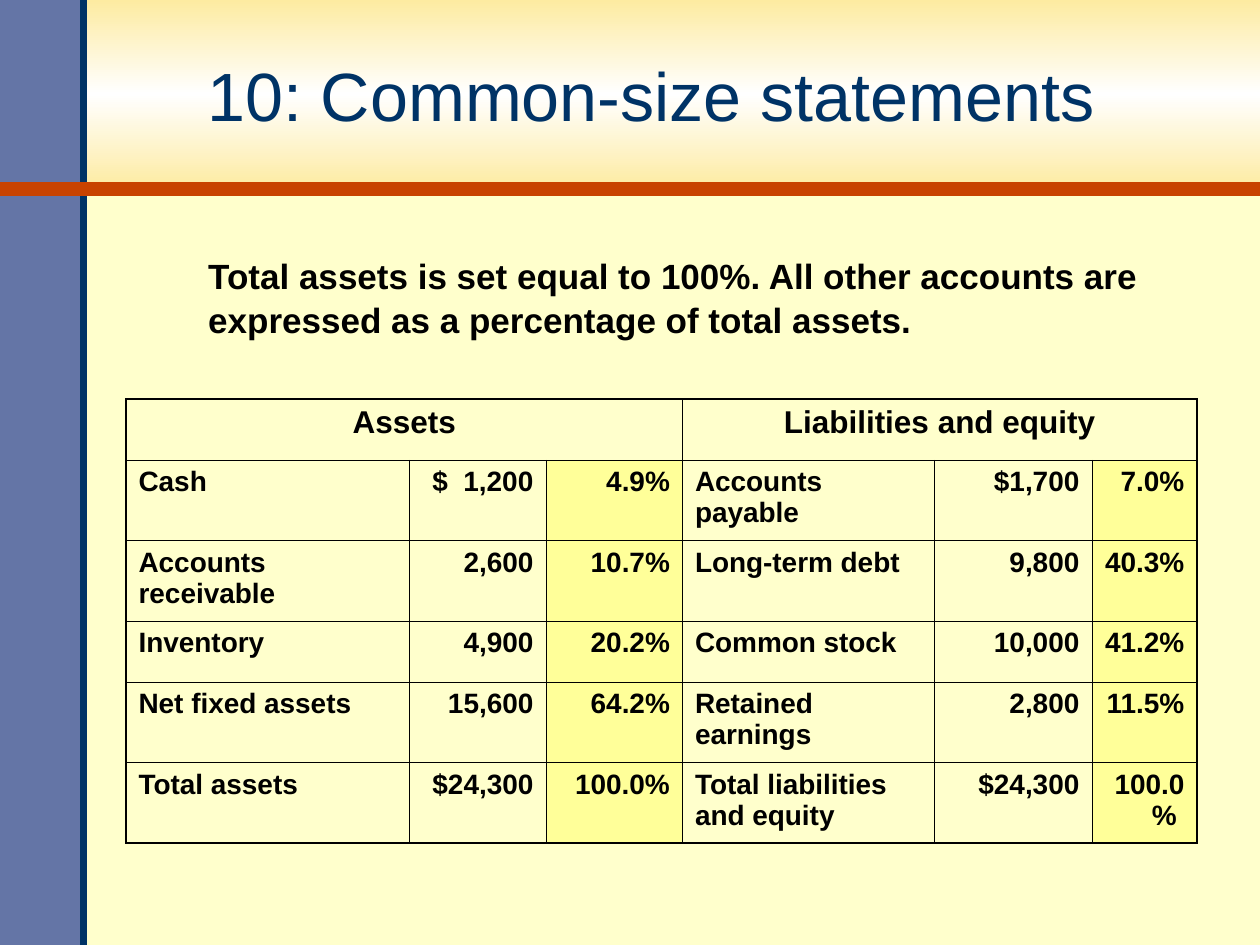
from copy import deepcopy

from lxml.etree import SubElement
from pptx import Presentation
from pptx.dml.color import RGBColor
from pptx.enum.shapes import MSO_CONNECTOR, MSO_SHAPE
from pptx.enum.text import MSO_ANCHOR, PP_ALIGN
from pptx.oxml.ns import qn
from pptx.util import Pt

TITLE = "10: Common-size statements"
STATEMENT = ("Total assets is set equal to 100%. All other accounts are "
             "expressed as a percentage of total assets.")
HEADINGS = ["Assets", "Liabilities and equity"]
ACCOUNTS = [
    ("Cash", "$  1,200", "4.9%", "Accounts payable", "$1,700", "7.0%"),
    ("Accounts receivable", "2,600", "10.7%", "Long-term debt", "9,800", "40.3%"),
    ("Inventory", "4,900", "20.2%", "Common stock", "10,000", "41.2%"),
    ("Net fixed assets", "15,600", "64.2%", "Retained earnings", "2,800", "11.5%"),
    ("Total assets", "$24,300", "100.0%", "Total liabilities and equity", "$24,300", "100.0% "),
]
COLUMN_WIDTHS = [162, 78, 78, 144, 90, 60]
ROW_HEIGHTS = [35, 46, 46, 35, 46, 46]
ALIGNMENTS = [PP_ALIGN.LEFT, PP_ALIGN.RIGHT, PP_ALIGN.RIGHT]
GROUP = 3
WIDTH, HEIGHT = 720, 540
HEADER_HEIGHT, SIDEBAR_WIDTH = 108, 48
CREAM, GOLD, WHITE, YELLOW = "FFFFCC", "FDEBA1", "FFFFFF", "FFFF99"
SLATE, NAVY, ORANGE, BLACK = "6475A6", "003366", "C84300", "000000"
OUTER, INNER = 1.08, 0.45


def color(code):
    return RGBColor.from_string(code)


def write(frame, text, size, code, align, bold=True):
    para = frame.paragraphs[0]
    para.text = text
    para.alignment = align
    para.font.name = "Arial"
    para.font.size = Pt(size)
    para.font.bold = bold
    para.font.color.rgb = color(code)
    return para


def add_panel(page, width, height):
    panel = page.shapes.add_shape(MSO_SHAPE.RECTANGLE, 0, 0, Pt(width), Pt(height))
    panel.shadow.inherit = False
    panel.line.fill.background()
    return panel


def add_rule(page, start, end, code, weight):
    rule = page.shapes.add_connector(
        MSO_CONNECTOR.STRAIGHT, *(Pt(value) for value in start + end))
    rule.line.color.rgb = color(code)
    rule.line.width = Pt(weight)
    SubElement(rule.element.spPr, qn("a:effectLst"))


def add_background(page):
    page.background.fill.solid()
    page.background.fill.fore_color.rgb = color(CREAM)
    header = add_panel(page, WIDTH, HEADER_HEIGHT)
    header.fill.gradient()
    header.fill.gradient_angle = 90
    edge, middle = header.fill.gradient_stops
    edge.color.rgb, edge.position = color(GOLD), 0
    middle.color.rgb, middle.position = color(WHITE), 0.5
    stops = header.element.find(".//" + qn("a:gsLst"))
    last = deepcopy(stops[0])
    last.set("pos", "100000")
    stops.append(last)
    sidebar = add_panel(page, SIDEBAR_WIDTH, HEIGHT)
    sidebar.fill.solid()
    sidebar.fill.fore_color.rgb = color(SLATE)
    add_rule(page, (SIDEBAR_WIDTH, HEIGHT), (SIDEBAR_WIDTH, 0), NAVY, 4)
    add_rule(page, (0, HEADER_HEIGHT), (WIDTH, HEADER_HEIGHT), ORANGE, 8)


def add_title(page):
    title = page.shapes.title
    title.left, title.top, title.width, title.height = Pt(42), Pt(6), Pt(660), Pt(96)
    title.text_frame.vertical_anchor = MSO_ANCHOR.MIDDLE
    write(title.text_frame, TITLE, 39, NAVY, PP_ALIGN.CENTER, bold=False)
    title.element.getparent().append(title.element)


def add_statement(page):
    box = page.shapes.add_textbox(Pt(66), Pt(HEADER_HEIGHT), Pt(660), Pt(108))
    frame = box.text_frame
    frame.word_wrap = True
    frame.margin_left, frame.margin_top = Pt(53), Pt(36)
    para = write(frame, STATEMENT, 20, BLACK, PP_ALIGN.LEFT)
    para.line_spacing = 1.05


def set_borders(cell, weights):
    properties = cell._tc.get_or_add_tcPr()
    for side, weight in weights.items():
        line = SubElement(properties, qn("a:ln" + side), w=str(Pt(weight)))
        SubElement(SubElement(line, qn("a:solidFill")), qn("a:srgbClr"), val=BLACK)


def add_balance_sheet(page):
    row_count, column_count = len(ROW_HEIGHTS), len(COLUMN_WIDTHS)
    table = page.shapes.add_table(
        row_count, column_count, Pt(72), Pt(228),
        Pt(sum(COLUMN_WIDTHS)), Pt(sum(ROW_HEIGHTS))).table
    table.first_row = table.horz_banding = False
    for column, width in zip(table.columns, COLUMN_WIDTHS):
        column.width = Pt(width)
    for row, height in zip(table.rows, ROW_HEIGHTS):
        row.height = Pt(height)
    for group, heading in enumerate(HEADINGS):
        first = table.cell(0, group * GROUP)
        first.merge(table.cell(0, group * GROUP + GROUP - 1))
        write(first.text_frame, heading, 18, BLACK, PP_ALIGN.CENTER)
    for row in range(row_count):
        for column in range(column_count):
            cell = table.cell(row, column)
            end = column + (cell.span_width if cell.is_merge_origin else 1)
            set_borders(cell, {
                "L": OUTER if column == 0 else INNER,
                "R": OUTER if end == column_count else INNER,
                "T": OUTER if row == 0 else INNER,
                "B": OUTER if row == row_count - 1 else INNER,
            })
            if row and column % GROUP == GROUP - 1:
                cell.fill.solid()
                cell.fill.fore_color.rgb = color(YELLOW)
            else:
                cell.fill.background()
            if row:
                write(cell.text_frame, ACCOUNTS[row - 1][column], 16, BLACK,
                      ALIGNMENTS[column % GROUP])


def main():
    deck = Presentation()
    deck.slide_width, deck.slide_height = Pt(WIDTH), Pt(HEIGHT)
    page = deck.slides.add_slide(deck.slide_layouts[5])
    add_background(page)
    add_title(page)
    add_statement(page)
    add_balance_sheet(page)
    deck.save("out.pptx")


if __name__ == "__main__":
    main()
